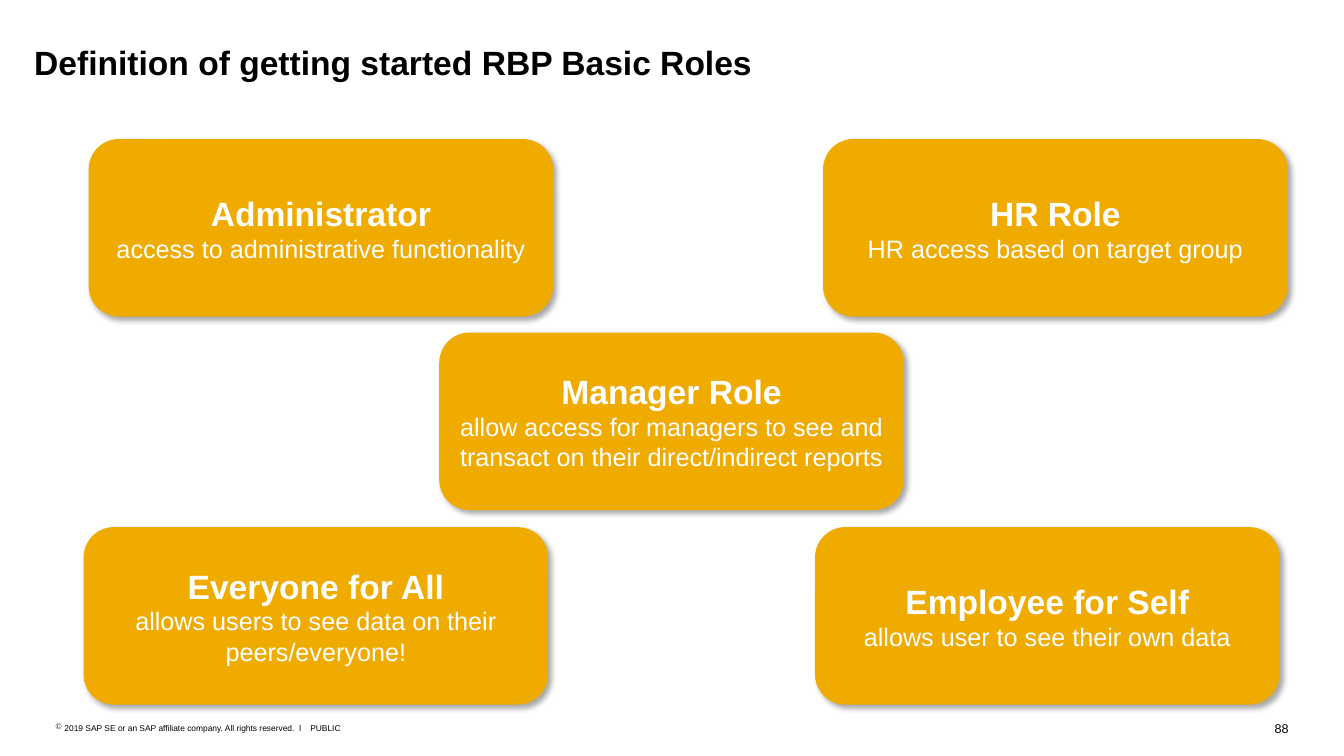
from lxml import etree
from pptx import Presentation
from pptx.dml.color import RGBColor
from pptx.enum.shapes import MSO_SHAPE
from pptx.enum.text import MSO_ANCHOR, PP_ALIGN
from pptx.oxml.ns import qn
from pptx.util import Emu, Pt

ROUNDED = MSO_SHAPE.ROUNDED_RECTANGLE
MIDDLE = MSO_ANCHOR.MIDDLE
LEFT, CENTER, RIGHT = PP_ALIGN.LEFT, PP_ALIGN.CENTER, PP_ALIGN.RIGHT

GOLD = RGBColor(0xF0, 0xAB, 0x00)
WHITE = RGBColor(0xFF, 0xFF, 0xFF)
BLACK = RGBColor(0x00, 0x00, 0x00)
SHADOW = RGBColor(0x26, 0x26, 0x26)

EMU_PER_PX = 9144  # 100 px to the inch
CARD_WIDTH, CARD_HEIGHT = 459, 174
FIRST_ROW, LAST_ROW = 139, 524

# Role, description, left edge, row
ROLES = [
    ("Administrator", "access to administrative functionality", 89, 0),
    ("HR Role", "HR access based on target group", 818, 0),
    ("Manager Role", "allow access for managers to see and "
     "transact on their direct/indirect reports", 437, 1),
    ("Everyone for All", "allows users to see data on their peers/everyone!", 84, 2),
    ("Employee for Self", "allows user to see their own data", 810, 2),
]


def px(*lengths):
    return [Emu(length * EMU_PER_PX) for length in lengths]


def add_run(paragraph, text, size, color, bold=False):
    run = paragraph.add_run()
    run.text = text
    run.font.name = "Arial"
    run.font.size = Pt(size)
    run.font.bold = bold
    run.font.color.rgb = color


def add_label(slide, box, text, size, bold=False, align=LEFT, wrap=True):
    frame = slide.shapes.add_textbox(*px(*box)).text_frame
    frame.margin_left = frame.margin_top = frame.margin_right = frame.margin_bottom = 0
    frame.word_wrap = wrap
    paragraph = frame.paragraphs[0]
    paragraph.alignment = align
    add_run(paragraph, text, size, BLACK, bold)
    return paragraph


def set_bullet(paragraph, mark, indent):
    properties = paragraph._p.get_or_add_pPr()
    hanging = indent * EMU_PER_PX
    properties.set("marL", str(hanging))
    properties.set("indent", str(-hanging))
    color = etree.SubElement(properties, qn("a:buClr"))
    etree.SubElement(color, qn("a:srgbClr"), val=str(BLACK))
    etree.SubElement(properties, qn("a:buChar"), char=mark)


def add_shadow(shape):
    shape.shadow.inherit = False
    effects = shape._element.spPr.find(qn("a:effectLst"))
    outer = etree.SubElement(
        effects, qn("a:outerShdw"), blurRad=str(Pt(4)), dist=str(Pt(3)),
        dir=str(45 * 60000), algn="tl", rotWithShape="0")
    color = etree.SubElement(outer, qn("a:srgbClr"), val=str(SHADOW))
    etree.SubElement(color, qn("a:alpha"), val="40000")


def add_role_card(slide, role, description, left, row):
    top = FIRST_ROW + row * (LAST_ROW - FIRST_ROW) // 2
    card = slide.shapes.add_shape(ROUNDED, *px(left, top, CARD_WIDTH, CARD_HEIGHT))
    card.fill.solid()
    card.fill.fore_color.rgb = GOLD
    card.line.color.rgb = GOLD
    card.line.width = Pt(1.5)
    add_shadow(card)

    frame = card.text_frame
    frame.word_wrap = True
    frame.vertical_anchor = MIDDLE
    heading = frame.paragraphs[0]
    heading.alignment = CENTER
    add_run(heading, role, 24, WHITE, bold=True)
    detail = frame.add_paragraph()
    detail.alignment = CENTER
    add_run(detail, description, 18, WHITE)


def main():
    deck = Presentation()
    deck.slide_width, deck.slide_height = px(1334, 750)
    slide = deck.slides.add_slide(deck.slide_layouts[6])

    # Title
    add_label(slide, (34, 42, 1150, 77),
              "Definition of getting started RBP Basic Roles", 24, bold=True)

    # Role cards
    for role in ROLES:
        add_role_card(slide, *role)

    # Footer
    rights = add_label(
        slide, (55, 717, 248, 10),
        "2019 SAP SE or an SAP affiliate company. All rights reserved.  ǀ", 6)
    set_bullet(rights, "©", 9)
    add_label(slide, (308, 717, 31, 10), "PUBLIC", 6, wrap=False)
    add_label(slide, (1264, 715, 15, 15), "88", 9, align=RIGHT, wrap=False)

    deck.save("out.pptx")


if __name__ == "__main__":
    main()
